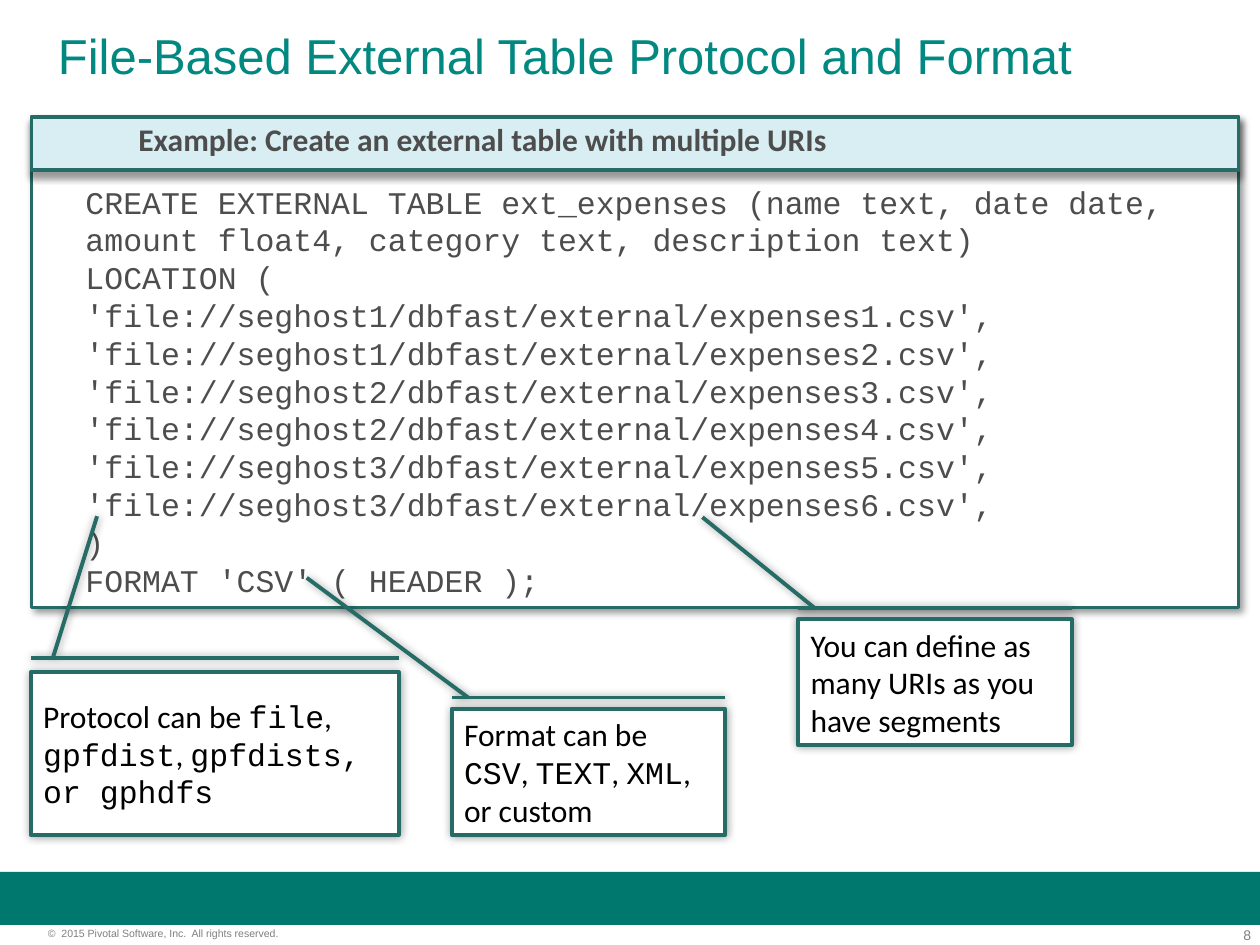
from dataclasses import dataclass
from itertools import cycle

from lxml.etree import SubElement
from pptx import Presentation
from pptx.dml.color import RGBColor as Rgb
from pptx.enum.shapes import MSO_SHAPE as Preset
from pptx.enum.text import MSO_ANCHOR as Anchor, PP_ALIGN as Align
from pptx.oxml.ns import qn
from pptx.util import Inches, Pt

WIDTH, HEIGHT = Inches(10), Inches(7.5)
COLUMNS, ROWS = 100, 75
EDGE, SPAN = 2.5, 95.8

STATEMENT = [
    "CREATE EXTERNAL TABLE ext_expenses (name text, date date, "
    "amount float4, category text, description text)",
    "LOCATION (",
    *(f"'file://seghost{(n + 1) // 2}/dbfast/external/expenses{n}.csv'," for n in range(1, 7)),
    ")",
    "FORMAT 'CSV' ( HEADER );",
]

CALLOUTS = [
    ("Protocol can be `file`, `gpfdist`, `gpfdists, or gphdfs`",
     (2.45, 53.35, 29.2, 12.9), (0.94, 1.09, 0.82, 1.96)),
    ("Format can be\n`CSV`, `TEXT`, `XML`,\nor custom",
     (35.85, 56.25, 21.7, 10), (0.94, 1.09, 1.53, 2.04)),
    ("You can define as\nmany URIs as you\nhave segments",
     (63.35, 49.15, 21.7, 10), (0.94, 1.09, 1.35, 1.81)),
]


@dataclass(frozen=True)
class Theme:
    """Colours, fonts and type sizes of the slide."""
    title: str = "008881"
    band: str = "00786E"
    outline: str = "266C66"
    heading: str = "D8EEF2"
    paper: str = "FFFFFF"
    ink: str = "4D4D4D"
    note: str = "000000"
    muted: str = "7F7F7F"
    sans: str = "Arial"
    prose: str = "Calibri"
    mono: str = "Courier New"
    title_size: float = 28
    body_size: float = 18
    number_size: float = 8
    legal_size: float = 6
    leading: float = 21.6


THEME = Theme()


def grid(column, row, columns, rows):
    """Turn grid columns and rows into a left, top, width and height."""
    across, down = WIDTH / COLUMNS, HEIGHT / ROWS
    return int(column * across), int(row * down), int(columns * across), int(rows * down)


def write(frame, paragraphs, font=THEME.prose, size=THEME.body_size, color=THEME.ink,
          bold=False, align=Align.LEFT, anchor=Anchor.TOP, leading=None, inset=None, wrap=True):
    """Fill a text frame, setting words between backticks in the mono font."""
    frame.word_wrap = wrap
    frame.vertical_anchor = anchor
    if inset is not None:
        frame.margin_left = frame.margin_right = inset
        frame.margin_top = frame.margin_bottom = inset
    for index, content in enumerate(paragraphs):
        paragraph = frame.add_paragraph() if index else frame.paragraphs[0]
        paragraph.alignment = align
        if leading:
            paragraph.line_spacing = Pt(leading)
        for piece, face in zip(content.split("`"), cycle((font, THEME.mono))):
            for number, words in enumerate(piece.split("\n")):
                if number:
                    paragraph.add_line_break()
                if words:
                    run = paragraph.add_run()
                    run.text = words
                    run.font.name, run.font.size, run.font.bold = face, Pt(size), bold
                    run.font.color.rgb = Rgb.from_string(color)


def add_text(slide, place, paragraphs, **style):
    """Add a text box at a grid place."""
    write(slide.shapes.add_textbox(*grid(*place)).text_frame, paragraphs, **style)


def cast_shadow(shape, blur, distance, angle):
    """Give a shape a soft black outer shadow."""
    effects = shape._element.spPr.find(qn("a:effectLst"))
    outer = SubElement(effects, qn("a:outerShdw"), blurRad=str(Pt(blur)), dist=str(Pt(distance)),
                       dir=str(angle * 60000), algn="ctr", rotWithShape="0")
    black = SubElement(outer, qn("a:srgbClr"), val="000000")
    SubElement(black, qn("a:alpha"), val="40000")


def add_box(slide, box, fill, preset=Preset.RECTANGLE, line=None, shadow=None):
    """Add a filled preset shape with an optional outline and shadow."""
    shape = slide.shapes.add_shape(preset, *box)
    shape.shadow.inherit = False
    shape.fill.solid()
    shape.fill.fore_color.rgb = Rgb.from_string(fill)
    if line:
        shape.line.color.rgb = Rgb.from_string(THEME.outline)
        shape.line.width = Pt(line)
    else:
        shape.line.fill.background()
    if shadow:
        cast_shadow(shape, *shadow)
    return shape


def add_callout(slide, note, place, pointer):
    """Add a callout turned a quarter so that its accent bar lies on top."""
    left, top, width, height = grid(*place)
    shift = (width - height) // 2
    callout = add_box(slide, (left + shift, top - shift, height, width), THEME.paper,
                      Preset.LINE_CALLOUT_1_BORDER_AND_ACCENT_BAR, 2.25, (5, 0, 0))
    for index, value in enumerate(pointer):
        callout.adjustments[index] = value
    callout.rotation = 90
    callout._element.spPr.find(qn("a:xfrm")).set("flipH", "1")
    write(callout.text_frame, [note], color=THEME.note, anchor=Anchor.MIDDLE,
          leading=THEME.leading)
    callout.text_frame._txBody.find(qn("a:bodyPr")).set("vert", "vert270")


def add_title(slide, words):
    """Place and fill the title placeholder."""
    title = slide.shapes.title
    title.left, title.top, title.width, title.height = grid(3.6, 1.5, 90, 12.5)
    write(title.text_frame, [words], font=THEME.sans, size=THEME.title_size, color=THEME.title)


def add_footer(slide):
    """Add the band, the page number and the copyright line."""
    add_box(slide, grid(0, 69.2, COLUMNS, 4.2), THEME.band)
    small = dict(font=THEME.sans, color=THEME.muted, inset=0)
    add_text(slide, (93.5, 73.5, 5.8, 1.3), ["8"], size=THEME.number_size,
             align=Align.RIGHT, **small)
    add_text(slide, (3.8, 73.6, 24.9, 1), ["©  2015 Pivotal Software, Inc.  All rights reserved."],
             size=THEME.legal_size, **small)


def add_example(slide):
    """Add the framed statement with its heading strip."""
    add_box(slide, grid(EDGE, 9.3, SPAN, 38.9), THEME.paper, line=2, shadow=(4, 3, 45))
    add_box(slide, grid(EDGE, 9.3, SPAN, 4.2), THEME.heading, line=2, shadow=(4, 3, 90))
    add_text(slide, (10, 9, 57.1, 4), ["Example: Create an external table with multiple URIs"],
             bold=True, wrap=False)
    add_text(slide, (5.8, 14, 92.5, 34.3), STATEMENT, font=THEME.mono, leading=THEME.leading)


def main():
    """Build the slide and save it."""
    deck = Presentation()
    deck.slide_width, deck.slide_height = WIDTH, HEIGHT
    slide = deck.slides.add_slide(deck.slide_layouts[5])
    add_footer(slide)
    add_title(slide, "File-Based External Table Protocol and Format")
    add_example(slide)
    for callout in CALLOUTS:
        add_callout(slide, *callout)
    deck.save("out.pptx")


if __name__ == "__main__":
    main()
